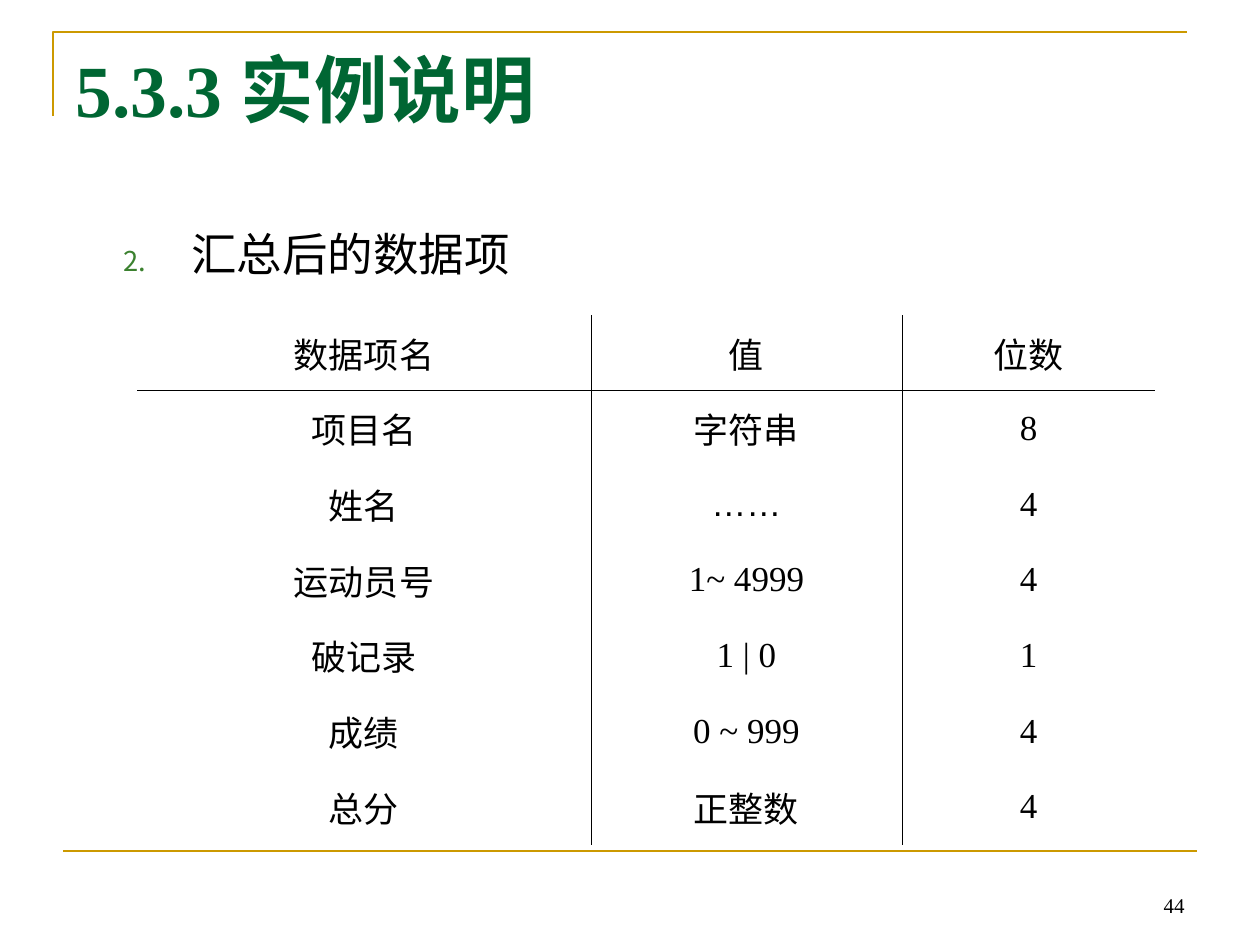
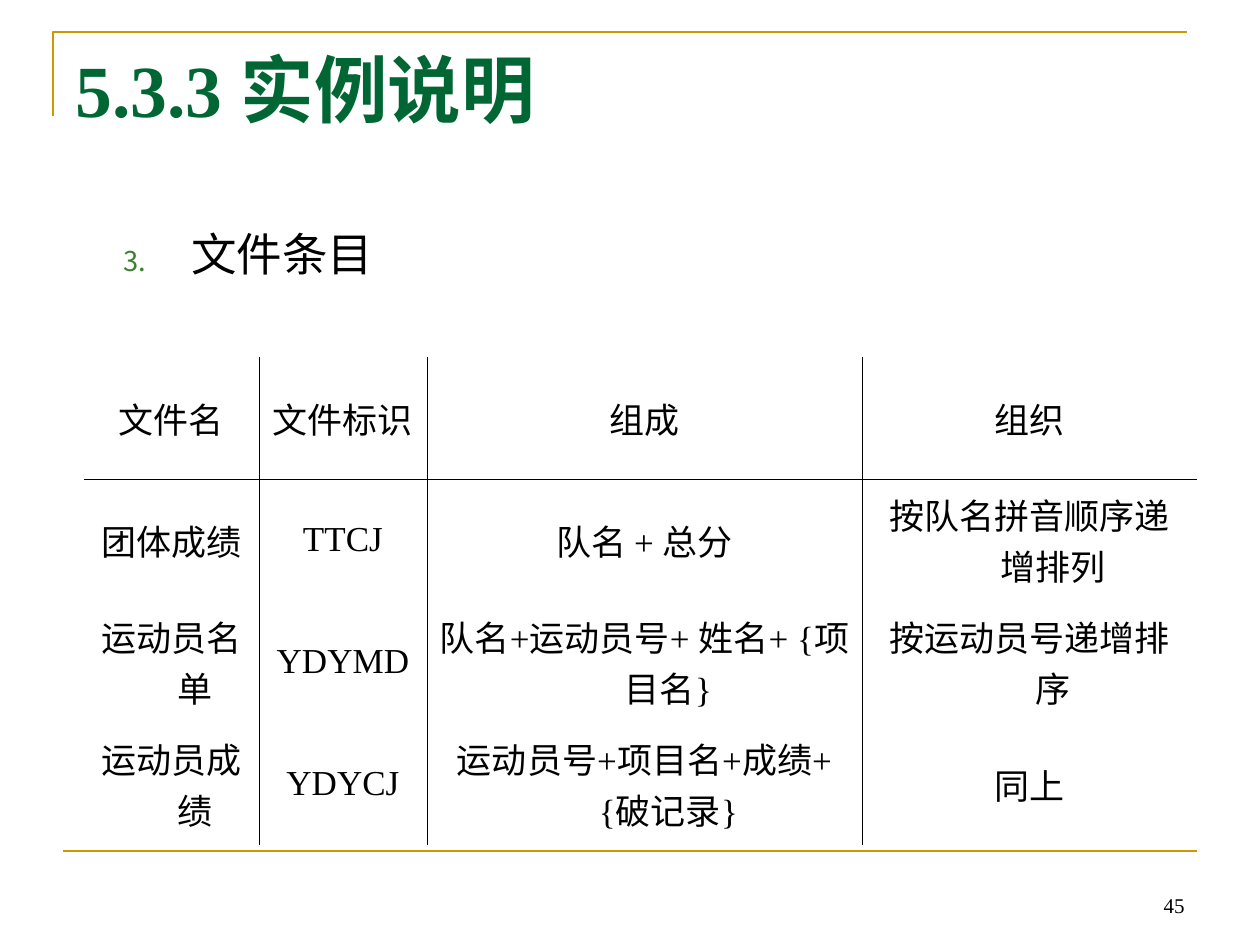
from dataclasses import dataclass

import pptx
import pptx.dml.color
import pptx.enum.shapes
import pptx.enum.text
import pptx.oxml.ns
import pptx.util
from lxml import etree

EMU_PER_PX = 914400 / 126
Align = pptx.enum.text.PP_ALIGN
Anchor = pptx.enum.text.MSO_ANCHOR


@dataclass(frozen=True)
class Theme:
    gold: str = "CC9900"
    title_green: str = "006633"
    number_green: str = "3B812F"
    ink: str = "000000"
    serif: str = "Times New Roman"
    sans: str = "Arial"
    title_size: int = 42
    heading_size: int = 26
    cell_size: int = 20
    page_size: int = 12
    frame_width: float = 1.5
    rule_width: float = 0.45


THEME = Theme()


def px(length):
    return pptx.util.Emu(round(length * EMU_PER_PX))


def rgb(color):
    return pptx.dml.color.RGBColor.from_string(color)


def add_xml(parent, tag, **attributes):
    values = {name: str(value) for name, value in attributes.items()}
    return etree.SubElement(parent, pptx.oxml.ns.qn(tag), values)


def style_paragraph(paragraph, size, font=THEME.serif, color=THEME.ink, bold=False, align=Align.LEFT):
    paragraph.alignment = align
    paragraph.font.size = pptx.util.Pt(size)
    paragraph.font.name = font
    paragraph.font.bold = bold
    paragraph.font.color.rgb = rgb(color)


def set_hanging_indent(paragraph, margin, hang):
    properties = paragraph._p.get_or_add_pPr()
    properties.set("marL", str(px(margin)))
    properties.set("indent", str(-px(hang)))
    return properties


def add_text(slide, text, left, top, width, height, anchor=Anchor.TOP):
    """Add a one-paragraph text box and return its paragraph."""
    frame = slide.shapes.add_textbox(px(left), px(top), px(width), px(height)).text_frame
    frame.word_wrap = True
    frame.vertical_anchor = anchor
    frame.text = text
    return frame.paragraphs[0]


def style_frame_line(line):
    line.color.rgb = rgb(THEME.gold)
    line.width = pptx.util.Pt(THEME.frame_width)


def add_frame(slide):
    """Draw the corner bracket at the top and the rule at the foot."""
    builder = slide.shapes.build_freeform(53, 116, scale=EMU_PER_PX)
    builder.add_line_segments([(53, 32), (1187, 32)], close=False)
    bracket = builder.convert_to_shape()
    bracket.shadow.inherit = False
    bracket.fill.background()
    style_frame_line(bracket.line)

    footer_rule = slide.shapes.add_connector(
        pptx.enum.shapes.MSO_CONNECTOR.STRAIGHT, px(63), px(851), px(1197), px(851))
    style_frame_line(footer_rule.line)
    add_xml(footer_rule._element.spPr, "a:effectLst")


def add_page_number(slide, number):
    paragraph = add_text(slide, str(number), 903, 861, 294, 63, Anchor.BOTTOM)
    style_paragraph(paragraph, THEME.page_size, align=Align.RIGHT)


def add_title(slide, text):
    paragraph = add_text(slide, text, 63, 38, 1134, 157)
    style_paragraph(paragraph, THEME.title_size, color=THEME.title_green, bold=True)


def add_numbered_heading(slide, number, text):
    paragraph = add_text(slide, text, 63, 220, 903, 84)
    paragraph.level = 1
    properties = set_hanging_indent(paragraph, 116, 68)
    add_xml(add_xml(properties, "a:buClr"), "a:srgbClr", val=THEME.number_green)
    add_xml(properties, "a:buSzPct", val=60000)
    add_xml(properties, "a:buAutoNum", type="arabicPeriod", startAt=number)
    style_paragraph(paragraph, THEME.heading_size, font=THEME.sans)


def set_borders(cell, visible):
    """Rule the sides named in visible (letters of LRTB) and clear the others."""
    properties = cell._tc.get_or_add_tcPr()
    for side in "LRTB":
        width = pptx.util.Pt(THEME.rule_width) if side in visible else 0
        border = add_xml(properties, f"a:ln{side}", w=width)
        if side in visible:
            add_xml(add_xml(border, "a:solidFill"), "a:srgbClr", val=THEME.ink)
        else:
            add_xml(border, "a:noFill")


def fill_cell(cell, text, visible_borders):
    cell.text = text
    cell.vertical_anchor = Anchor.MIDDLE
    paragraph = cell.text_frame.paragraphs[0]
    set_hanging_indent(paragraph, 48, 48)
    font = THEME.sans if text == "……" else THEME.serif
    style_paragraph(paragraph, THEME.cell_size, font=font, align=Align.CENTER)
    set_borders(cell, visible_borders)
    cell.fill.background()


def add_ruled_table(slide, left, top, height, column_widths, rows):
    """Add a table ruled only between columns and below its header row."""
    table = slide.shapes.add_table(
        len(rows), len(column_widths), px(left), px(top), px(sum(column_widths)), px(height)).table
    table.first_row = False
    table.horz_banding = False
    for column, width in zip(table.columns, column_widths):
        column.width = px(width)
    last_column = len(column_widths) - 1
    for row_index, texts in enumerate(rows):
        table.rows[row_index].height = px(height / len(rows))
        for column_index, text in enumerate(texts):
            borders = "L" if column_index > 0 else ""
            borders += "R" if column_index < last_column else ""
            borders += {0: "B", 1: "T"}.get(row_index, "")
            fill_cell(table.cell(row_index, column_index), text, borders)


def add_example_slide(presentation, page, number, heading):
    slide = presentation.slides.add_slide(presentation.slide_layouts[6])
    add_frame(slide)
    add_page_number(slide, page)
    add_title(slide, "5.3.3 实例说明")
    add_numbered_heading(slide, number, heading)
    return slide


def main():
    presentation = pptx.Presentation()
    presentation.slide_width = px(1260)
    presentation.slide_height = px(945)

    data_items = add_example_slide(presentation, 44, 2, "汇总后的数据项")
    add_ruled_table(data_items, 137, 315, 530, (454, 311, 253), [
        ("数据项名", "值", "位数"),
        ("项目名", "字符串", "8"),
        ("姓名", "……", "4"),
        ("运动员号", "1~ 4999", "4"),
        ("破记录", "1 | 0", "1"),
        ("成绩", "0 ~ 999", "4"),
        ("总分", "正整数", "4"),
    ])

    file_entries = add_example_slide(presentation, 45, 3, "文件条目")
    add_ruled_table(file_entries, 84, 357, 488, (175, 168, 435, 335), [
        ("文件名", "文件标识", "组成", "组织"),
        ("团体成绩", "TTCJ", "队名 + 总分", "按队名拼音顺序递增排列"),
        ("运动员名单", "YDYMD", "队名+运动员号+ 姓名+ {项目名}", "按运动员号递增排序"),
        ("运动员成绩", "YDYCJ", "运动员号+项目名+成绩+{破记录}", "同上"),
    ])

    presentation.save("out.pptx")


if __name__ == "__main__":
    main()
